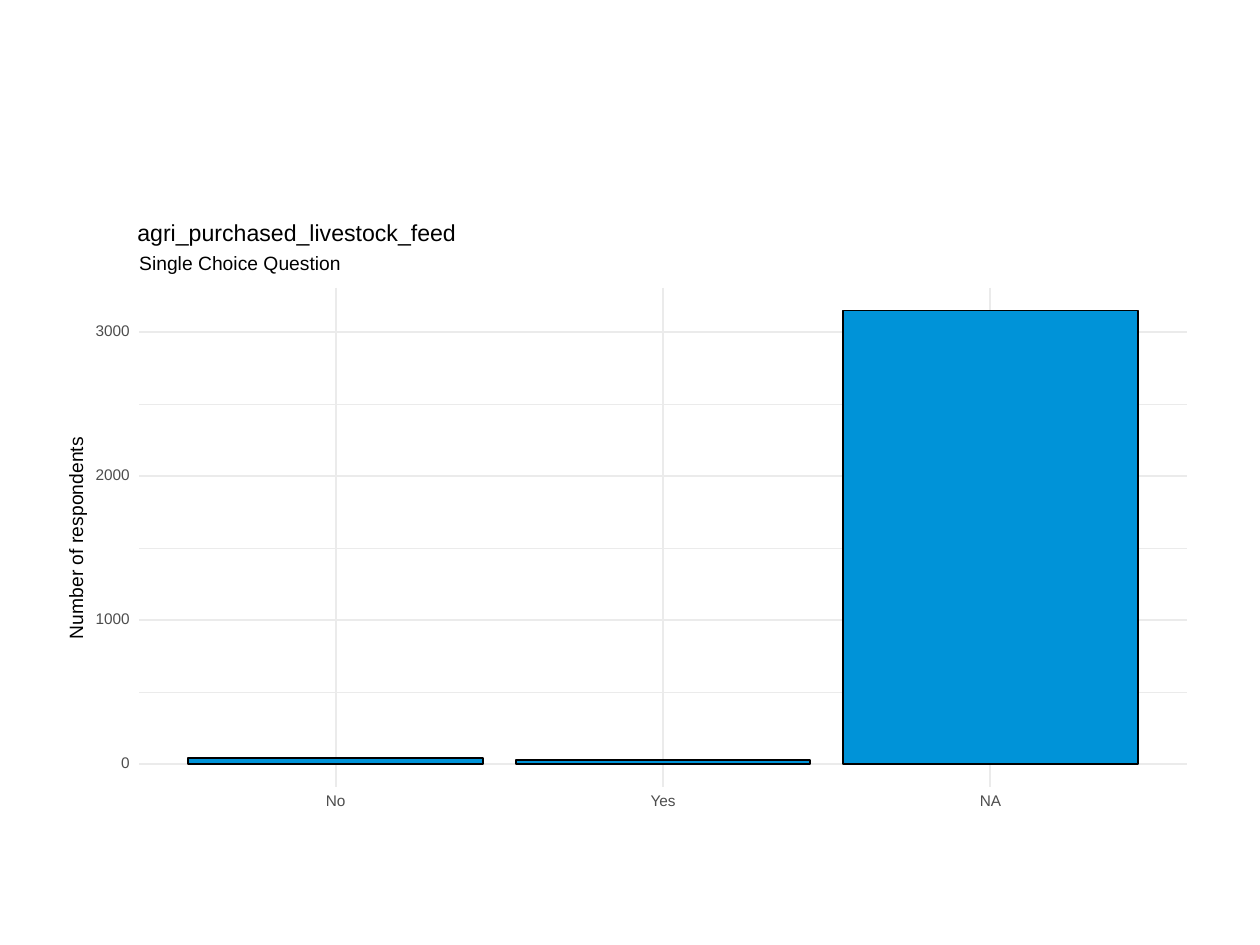
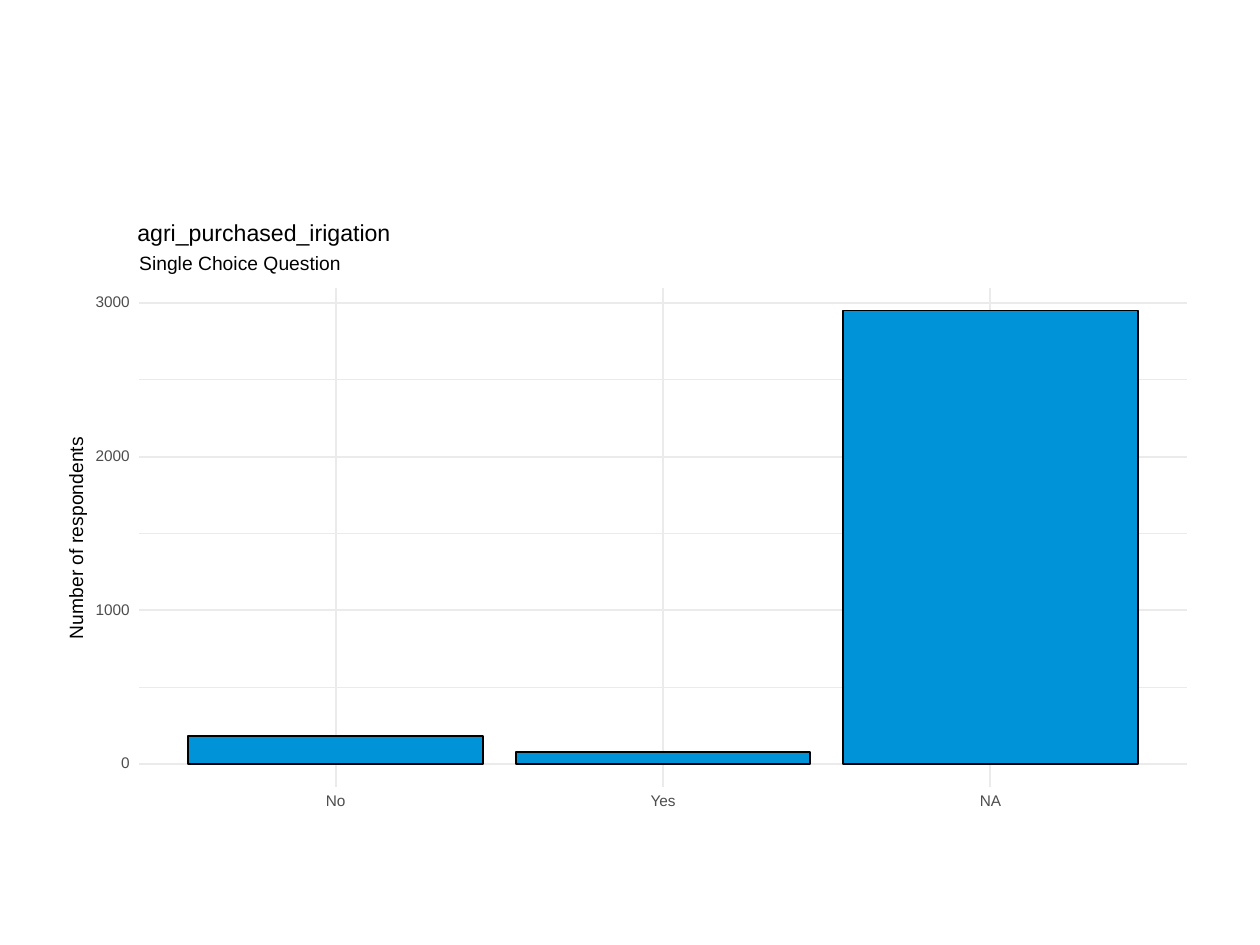
from collections import namedtuple

from lxml import etree
from pptx import Presentation
from pptx.chart.data import CategoryChartData
from pptx.dml.color import RGBColor
from pptx.enum.chart import XL_CHART_TYPE as CHART, XL_TICK_LABEL_POSITION as TICK_LABEL, XL_TICK_MARK as TICK
from pptx.enum.shapes import MSO_CONNECTOR as CONNECTOR, MSO_SHAPE as SHAPE
from pptx.enum.text import MSO_ANCHOR as ANCHOR, MSO_AUTO_SIZE as AUTO_SIZE, PP_ALIGN as ALIGN
from pptx.oxml import parse_xml
from pptx.oxml.ns import nsdecls, qn
from pptx.util import Inches, Pt

COLORS = {"paper": "FFFFFF", "grid": "EBEBEB", "bar": "0093D8",
          "outline": "000000", "text": "000000", "tick": "4D4D4D"}
FONT = "Arial"
SIZES = {"title": 13.2, "label": 11, "tick": 8.8}
WIDTHS = {"major": 1.07, "minor": 0.53}

# Page grid: 100 columns by 75 rows
WIDTH, HEIGHT = Inches(10), Inches(7.5)
COL, ROW = WIDTH / 100, HEIGHT / 75

Box = namedtuple("Box", "x y w h")
FIGURE = Box(5, 17.5, 90, 49.5)
PANEL = Box(11.05, 22.85, 83.15, 39.6)

# The panel is 3.2 categories wide, with 5 % of the top value spare above and below
ANSWERS = ["No", "Yes", "NA"]
STEP = PANEL.w / (len(ANSWERS) + 0.2)
SPARE = 0.05
MAJOR, MINOR = 1000, 500

QUESTIONS = [
    ("agri_purchased_livestock_feed", [40, 30, 3150]),
    ("agri_purchased_irigation", [180, 80, 2950]),
]


def rgb(name):
    return RGBColor.from_string(COLORS[name])


def emu(box):
    return [round(v) for v in (box.x * COL, box.y * ROW, box.w * COL, box.h * ROW)]


def style_font(font, size, color):
    font.name, font.size, font.bold = FONT, Pt(SIZES[size]), False
    font.color.rgb = rgb(color)


def write(sp, text, size, color="text", align=ALIGN.LEFT):
    tf = sp.text_frame
    tf.margin_left = tf.margin_right = tf.margin_top = tf.margin_bottom = 0
    tf.word_wrap, tf.auto_size = True, AUTO_SIZE.NONE
    tf.vertical_anchor = ANCHOR.MIDDLE
    p = tf.paragraphs[0]
    p.text, p.alignment = text, align
    p.line_spacing = Pt(SIZES[size])
    style_font(p.font, size, color)


def add_label(slide, box, *args, **kwargs):
    sp = slide.shapes.add_textbox(*emu(box))
    write(sp, *args, **kwargs)
    return sp


def add_gridline(slide, box, width):
    x, y, w, h = emu(box)
    line = slide.shapes.add_connector(CONNECTOR.STRAIGHT, x, y, x + w, y + h)
    line.line.color.rgb = rgb("grid")
    line.line.width = Pt(WIDTHS[width])
    etree.SubElement(line._element.spPr, qn("a:effectLst"))


def add_figure(slide, box):
    sp = slide.shapes.add_shape(SHAPE.RECTANGLE, *emu(box))
    sp.shadow.inherit = False
    sp.fill.solid()
    sp.fill.fore_color.rgb = sp.line.color.rgb = rgb("paper")
    sp.line.width = Pt(0.75)


def add_headings(slide, box, title):
    sp = slide.shapes.title
    sp.left, sp.top, sp.width, sp.height = emu(Box(box.x - 0.15, box.y - 5.05, box.w, 1.7))
    write(sp, title, "title")
    slide.shapes._spTree.append(sp._element)  # bring in front of the figure
    add_label(slide, Box(box.x, box.y - 2.55, box.w, 1.4), "Single Choice Question", "label")


def add_scales(slide, box, top):
    """Gridlines and labels of both axes."""
    def row(value):
        return box.y + box.h * (1 + SPARE - value / top) / (1 + 2 * SPARE)

    # Values
    limit = int(top * (1 + SPARE))
    for value in range(MINOR, limit + 1, MAJOR):
        add_gridline(slide, Box(box.x, row(value), box.w, 0), "minor")
    for value in range(0, limit + 1, MAJOR):
        add_gridline(slide, Box(box.x, row(value), box.w, 0), "major")
        add_label(slide, Box(box.x - 4.75, row(value) - 0.45, 4, 0.9), str(value),
                  "tick", "tick", ALIGN.RIGHT)
    name = Box(box.x - 14.9, box.y + box.h / 2 - 0.65, 20, 1.4)
    add_label(slide, name, "Number of respondents", "label", align=ALIGN.CENTER).rotation = 270

    # Answers
    for i, answer in enumerate(ANSWERS):
        x = box.x + STEP * (i + 0.6)
        add_gridline(slide, Box(x, box.y, 0, box.h), "major")
        add_label(slide, Box(x - 4, box.y + box.h + 0.7, 8, 0.9), answer,
                  "tick", "tick", ALIGN.CENTER)


def place_plot(chart, frame, plot):
    """Fix the inner plot area at the given box within the chart frame."""
    shares = {"x": (plot.x - frame.x) / frame.w, "y": (plot.y - frame.y) / frame.h,
              "w": plot.w / frame.w, "h": plot.h / frame.h}
    modes = "".join(f'<c:{k}Mode val="edge"/>' for k in "xy")
    values = "".join(f'<c:{k} val="{v:.4f}"/>' for k, v in shares.items())
    area = chart._chartSpace.find(".//" + qn("c:plotArea"))
    for old in area.findall(qn("c:layout")):
        area.remove(old)
    area.insert(0, parse_xml(
        f'<c:layout {nsdecls("c")}><c:manualLayout><c:layoutTarget val="inner"/>'
        f'{modes}{values}</c:manualLayout></c:layout>'))


def add_bars(slide, frame, panel, counts):
    data = CategoryChartData()
    data.categories = ANSWERS
    data.add_series("Number of respondents", counts)
    chart = slide.shapes.add_chart(CHART.COLUMN_CLUSTERED, *emu(frame), data).chart
    chart.has_title = chart.has_legend = False
    style_font(chart.font, "tick", "tick")

    # Bars
    plot = chart.plots[0]
    plot.gap_width, plot.vary_by_categories = 11, False
    bars = plot.series[0].format
    bars.fill.solid()
    bars.fill.fore_color.rgb = rgb("bar")
    bars.line.color.rgb = rgb("outline")
    bars.line.width = Pt(WIDTHS["major"])

    # Axes
    values, answers = chart.value_axis, chart.category_axis
    values.minimum_scale = -SPARE * max(counts)
    values.maximum_scale = (1 + SPARE) * max(counts)
    values.has_major_gridlines = False
    values.visible = False
    answers.tick_label_position = TICK_LABEL.NONE
    answers.major_tick_mark = TICK.NONE
    answers.format.line.fill.background()

    place_plot(chart, frame, Box(panel.x + STEP / 10, panel.y, STEP * len(ANSWERS), panel.h))


def add_question(prs, title, counts):
    slide = prs.slides.add_slide(prs.slide_layouts[5])
    add_figure(slide, FIGURE)
    add_scales(slide, PANEL, max(counts))
    add_bars(slide, FIGURE, PANEL, counts)
    add_headings(slide, PANEL, title)


def main():
    prs = Presentation()
    prs.slide_width, prs.slide_height = WIDTH, HEIGHT
    for title, counts in QUESTIONS:
        add_question(prs, title, counts)
    prs.save("out.pptx")


if __name__ == "__main__":
    main()
